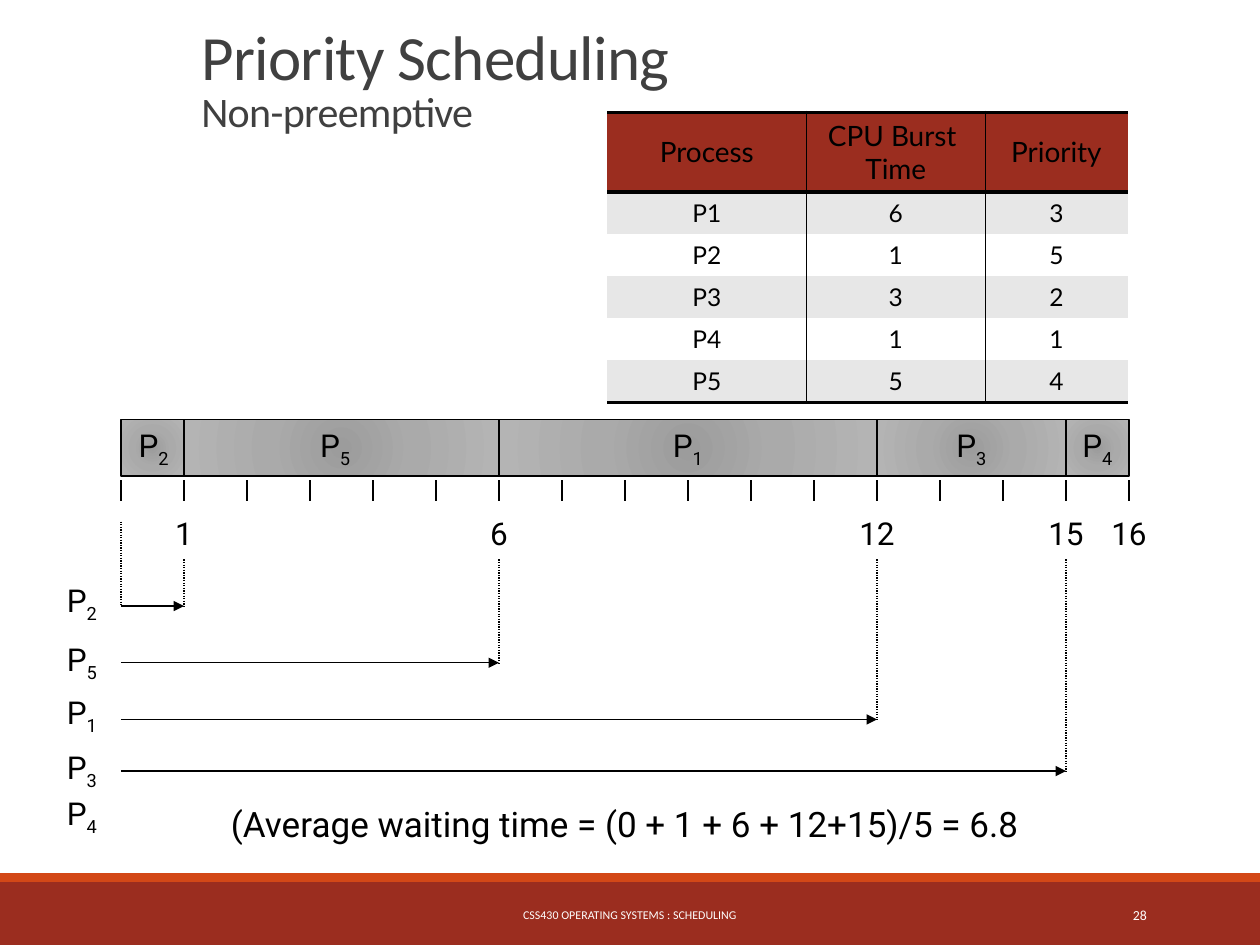
from lxml import etree
from pptx import Presentation, util as u
from pptx.dml import color
from pptx.enum import dml, shapes, text
from pptx.oxml import ns, parse_xml

LEFT, UNIT = 0.96, 0.5      # start of the time axis and inches per time unit
BAR_TOP, BAR_H = 3.33, 0.45
LABEL_W, LABEL_H = 0.46, 0.4
RED, ORANGE, BLACK, WHITE = "9B2D1F", "D34817", "000000", "FFFFFF"
rgb = color.RGBColor.from_string
C, R, L = text.PP_ALIGN.CENTER, text.PP_ALIGN.RIGHT, text.PP_ALIGN.LEFT
MID, TOP, BOTTOM = text.MSO_ANCHOR.MIDDLE, text.MSO_ANCHOR.TOP, text.MSO_ANCHOR.BOTTOM

prs = Presentation()
prs.slide_width, prs.slide_height = u.Inches(10), u.Inches(7.5)
s = prs.slides.add_slide(prs.slide_layouts[6])


def write(p, content, size=18, font="Roboto", ink=BLACK, align=C, tracking=None):
    """Add text to a paragraph; what follows an underscore is a subscript."""
    p.alignment = align
    for i, part in enumerate(content.split("_")):
        r = p.add_run()
        r.text = part
        r.font.size, r.font.name = u.Pt(size), font
        r.font.color.rgb = rgb(ink)
        if i:
            r.font._element.set("baseline", "-25000")
        if tracking:
            r.font._element.set("spc", str(tracking))


def add_box(x, y, w, h, content, anchor=MID, wrap=False, **fmt):
    tf = s.shapes.add_textbox(*map(u.Inches, (x, y, w, h))).text_frame
    tf.word_wrap, tf.vertical_anchor = wrap, anchor
    write(tf.paragraphs[0], content, **fmt)
    return tf.paragraphs[0]


# Footer bands and texts
for y, h, fill in [(7, 0.5, RED), (6.93, 0.07, ORANGE)]:
    sp = s.shapes.add_shape(shapes.MSO_SHAPE.RECTANGLE, 0, u.Inches(y), prs.slide_width, u.Inches(h))
    sp.shadow.inherit = False
    sp.fill.solid()
    sp.fill.fore_color.rgb = rgb(fill)
    sp.line.fill.background()
add_box(3.02, 7.06, 3.96, 0.4, "CSS430 OPERATING SYSTEMS : SCHEDULING", wrap=True,
        size=6.8, font="Calibri", ink=WHITE)
add_box(8.12, 7.06, 1.08, 0.4, "28", wrap=True, size=7.9, font="Calibri", ink=WHITE, align=R)

# Title
title = dict(font="Calibri", ink="404040", align=L, tracking=-40)
p = add_box(1.5, 0, 8.5, 1.13, "Priority Scheduling", anchor=BOTTOM, wrap=True, size=36, **title)
p.line_spacing = 0.85
p.add_line_break()
write(p, "Non-preemptive", size=24, **title)

# Process table
rows = [("Process", "CPU Burst \nTime", "Priority"), ("P1", "6", "3"), ("P2", "1", "5"),
        ("P3", "3", "2"), ("P4", "1", "1"), ("P5", "5", "4")]
col_widths = [1.58, 1.42, 1.13]
table = s.shapes.add_table(len(rows), 3, *map(u.Inches, (4.82, 0.89, 4.13, 2.21))).table
table._tbl.tblPr.find(ns.qn("a:tableStyleId")).text = "{2D5ABB26-0587-4C30-8999-92F81FD0307C}"
for col, w in zip(table.columns, col_widths):
    col.width = u.Inches(w)
for i, row in enumerate(rows):
    table.rows[i].height = u.Inches(0.32 if i else 0.61)
    for j, content in enumerate(row):
        cell = table.cell(i, j)
        cell.vertical_anchor = TOP if i else MID
        cell.fill.solid()
        cell.fill.fore_color.rgb = rgb(RED if i == 0 else "E7E7E7" if i % 2 else WHITE)
        for k, line in enumerate(content.split("\n")):
            p = cell.text_frame.add_paragraph() if k else cell.text_frame.paragraphs[0]
            write(p, line, size=14 if i else 16, font="Lato")
        borders = {"lnL": 1 if j else 0, "lnR": 1 if j < 2 else 0,
                   "lnT": 2 if i < 2 else 0, "lnB": 2 if i in (0, len(rows) - 1) else 0}
        for k, (side, width) in enumerate(borders.items()):
            if width:
                ln = etree.Element(ns.qn("a:" + side), w=str(u.Pt(width)))
                ink = etree.SubElement(ln, ns.qn("a:solidFill"))
                etree.SubElement(ink, ns.qn("a:srgbClr"), val=BLACK)
            else:
                ln = etree.Element(ns.qn("a:" + side), w="0")
                etree.SubElement(ln, ns.qn("a:noFill"))
            cell._tc.tcPr.insert(k, ln)

# Gantt bars: label, start, end, label centre
GRADIENT = (f'<a:gradFill {ns.nsdecls("a")}><a:gsLst>'
            '<a:gs pos="0"><a:srgbClr val="9C9C9C"/></a:gs>'
            '<a:gs pos="45000"><a:srgbClr val="AAAAAA"/></a:gs>'
            '<a:gs pos="100000"><a:srgbClr val="B4B4B4"/></a:gs></a:gsLst>'
            '<a:path path="circle"><a:fillToRect l="50000" t="50000" r="50000" b="50000"/></a:path>'
            '</a:gradFill>')
bars = [("P_2", 0, 1, 1.22), ("P_5", 1, 6, 2.66), ("P_1", 6, 12, 5.46),
        ("P_3", 12, 15, 7.71), ("P_4", 15, 16, 8.71)]
for label, start, end, centre in bars:
    sp = s.shapes.add_shape(shapes.MSO_SHAPE.RECTANGLE, *map(u.Inches, (
        LEFT + start * UNIT, BAR_TOP, (end - start) * UNIT, BAR_H)))
    sp.shadow.inherit = False
    sp.line.color.rgb, sp.line.width = rgb(BLACK), u.Pt(1)
    sp._element.spPr.find(ns.qn("a:prstGeom")).addnext(parse_xml(GRADIENT))
    add_box(centre - LABEL_W / 2, BAR_TOP + 0.02, LABEL_W, LABEL_H, label)
    add_box(LEFT + end * UNIT - 0.24, 4.03, 0.48, LABEL_H, str(end))

# Lines: x1, y1, x2, y2, kind
lines = [(LEFT + t * UNIT, 3.81, LEFT + t * UNIT, 3.98, "tick") for t in range(17)]
lines.append((LEFT, 4.14, LEFT, 4.81, "dotted"))
row_ys = [4.81, 5.26, 5.71, 6.12]
for (_, _, end, _), y in zip(bars, row_ys):
    x = LEFT + end * UNIT
    lines += [(LEFT, y, x, y, "arrow"), (x, 4.44, x, y, "dotted")]
for *ends, kind in lines:
    cn = s.shapes.add_connector(shapes.MSO_CONNECTOR.STRAIGHT, *map(u.Inches, ends))
    cn.line.color.rgb, cn.line.width = rgb(BLACK), u.Pt(0.75)
    if kind == "dotted":
        cn.line.dash_style = dml.MSO_LINE.ROUND_DOT
    if kind == "arrow":
        etree.SubElement(cn.line._get_or_add_ln(), ns.qn("a:tailEnd"), type="triangle")
    etree.SubElement(cn._element.spPr, ns.qn("a:effectLst"))

# Waiting-time row labels and result
for (label, *_), y in zip(bars, [4.58, 5.05, 5.47, 5.91, 6.27]):
    add_box(0.42, y, LABEL_W, LABEL_H, label)
add_box(LEFT, 6.32, 8, 0.44, "(Average waiting time = (0 + 1 + 6 + 12+15)/5 = 6.8",
        anchor=TOP, wrap=True, size=20)

prs.save("out.pptx")
